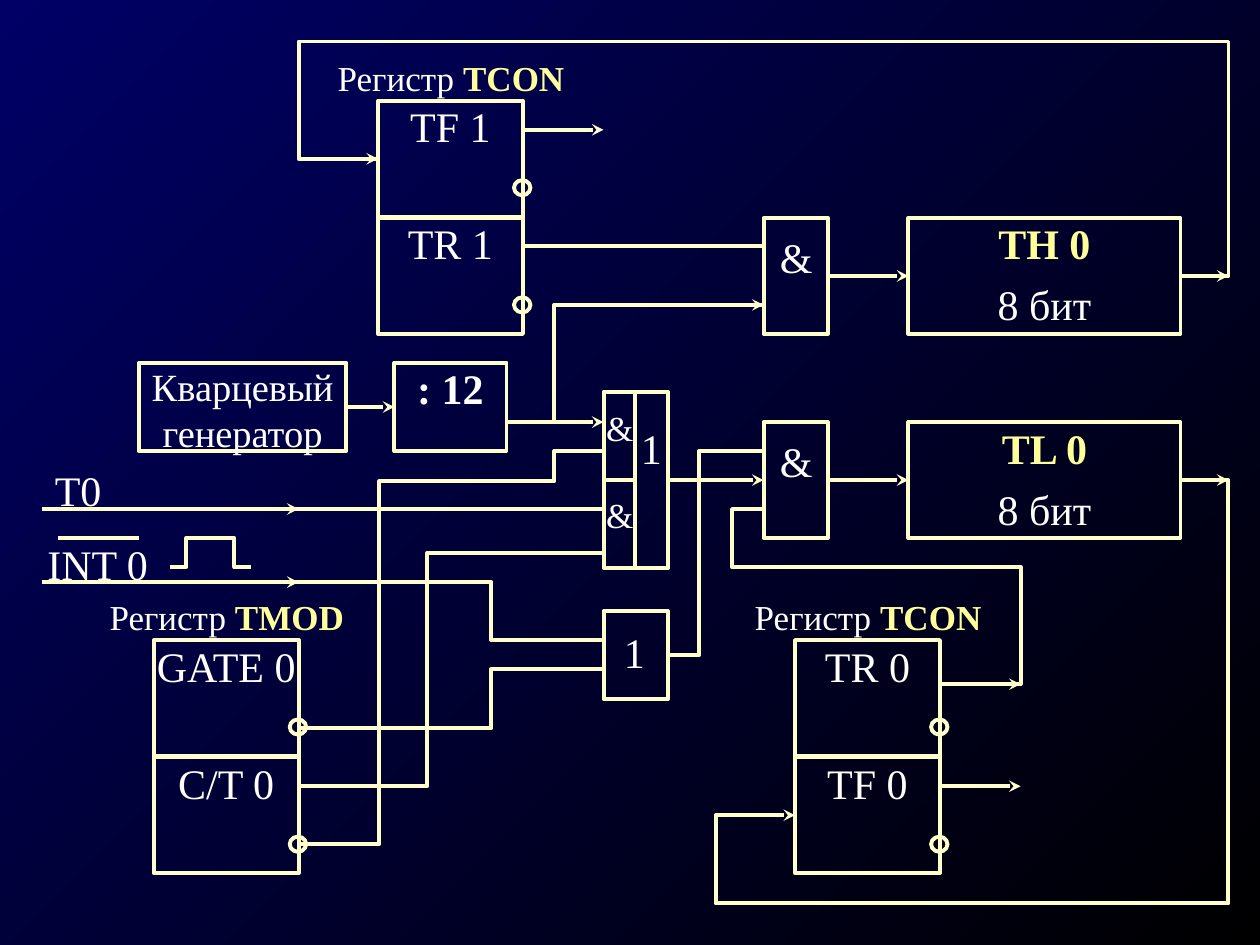
from lxml.etree import SubElement
from pptx import Presentation
from pptx.dml.color import RGBColor
from pptx.enum.shapes import MSO_CONNECTOR as Link, MSO_SHAPE as Form
from pptx.enum.text import MSO_ANCHOR as Anchor, PP_ALIGN as Align
from pptx.oxml.ns import qn
from pptx.util import Inches, Pt

hue = RGBColor.from_string
CREAM, GOLD, WHITE = "FFFFCC", "FFFF99", "FFFFFF"


def style(shape):
    shape.shadow.inherit = False
    shape.fill.background()
    shape.line.color.rgb = hue(CREAM)
    shape.line.width = Pt(2.25)


def write(shape, *lines):
    frame = shape.text_frame
    frame.word_wrap = True
    frame.vertical_anchor = Anchor.TOP
    frame.margin_left = frame.margin_right = 0
    frame.margin_top = frame.margin_bottom = 0
    for i, runs in enumerate(lines):
        para = frame.add_paragraph() if i else frame.paragraphs[0]
        para.alignment = Align.CENTER
        if i:
            para.space_before = Pt(6)
        for text, size, color, bold in runs:
            run = para.add_run()
            run.text = text
            run.font.name = "Times New Roman"
            run.font.size = Pt(size)
            run.font.bold = bold
            run.font.color.rgb = hue(color)


prs = Presentation()
prs.slide_width, prs.slide_height = Inches(10), Inches(7.5)
slide = prs.slides.add_slide(prs.slide_layouts[6])
shapes = slide.shapes

back = slide.background.fill
back.gradient()
back.gradient_angle = 315
for stop, color in zip(back.gradient_stops, ("000066", "000000")):
    stop.color.rgb = hue(color)

blocks = [
    ("clock", 1.1, 2.88, 1.65, 0.7, [[("Кварцевый генератор", 22, WHITE, False)]]),
    ("div", 3.13, 2.88, 0.89, 0.7, [[(": 12", 24, WHITE, True)]]),
    ("mux", 4.79, 3.11, 0.51, 1.4, []),
    ("or", 4.79, 4.85, 0.51, 0.7, []),
]
for n, y in (("H", 1.73), ("L", 3.35)):
    blocks.append((f"and{n}", 6.06, y, 0.51, 0.92, []))
    blocks.append((f"T{n}", 7.21, y, 2.16, 0.92, [
        [(f"T{n} 0", 24, GOLD, True)], [("8 бит", 24, WHITE, False)]]))

tags = [
    (0.33, 4.27, 0.89, [("INT 0", 24, WHITE, False)]),
    (0.33, 3.69, 0.58, [("T0", 24, WHITE, False)]),
    (5.04, 3.35, 0.26, [("1", 24, WHITE, False)]),
    (4.79, 3.23, 0.26, [("&", 20, WHITE, False)]),
    (4.79, 3.92, 0.26, [("&", 20, WHITE, False)]),
    (4.91, 4.97, 0.25, [("1", 24, WHITE, False)]),
    (6.19, 1.84, 0.26, [("&", 24, WHITE, False)]),
    (6.19, 3.46, 0.26, [("&", 24, WHITE, False)]),
]

dots = []
for x, y, name, cells in (
    (3, 0.8, "TCON", ("TF 1", "TR 1")),
    (1.22, 5.08, "TMOD", ("GATE 0", "C/T 0")),
    (6.31, 5.08, "TCON", ("TR 0", "TF 0")),
):
    tags.append((x - 0.5, y - 0.35, 2.16,
                 [("Регистр ", 20, WHITE, False), (name, 20, GOLD, True)]))
    for i, cell in enumerate(cells):
        top = y + 0.93 * i
        blocks.append((cell, x, top, 1.15, 0.92, [[(cell, 24, WHITE, False)]]))
        dots.append((x + 1.08, top + 0.63))

box = {}
for key, x, y, w, h, lines in blocks:
    box[key] = shapes.add_shape(
        Form.RECTANGLE, Inches(x), Inches(y), Inches(w), Inches(h))
    style(box[key])
    write(box[key], *lines)

for x, y in dots:
    dot = shapes.add_shape(
        Form.OVAL, Inches(x), Inches(y), Inches(0.13), Inches(0.12))
    style(dot)

for x, y, w, runs in tags:
    tag = shapes.add_textbox(Inches(x), Inches(y), Inches(w), Inches(0.35))
    write(tag, runs)

paths = [
    [(2.37, 5.78), (3.9, 5.78), (3.9, 5.31), (4.79, 5.31)],
    [(4.79, 3.58), (4.4, 3.58), (4.4, 3.82), (3.01, 3.82), (3.01, 6.7), (2.37, 6.7)],
    [(2.37, 6.24), (3.39, 6.24), (3.39, 4.39), (4.79, 4.39)],
    [(4.79, 5.08), (3.9, 5.08), (3.9, 4.62), (2.24, 4.62)],
    [(1.35, 4.5), (1.48, 4.5), (1.48, 4.27), (1.86, 4.27), (1.86, 4.5), (1.99, 4.5)],
    [(5.3, 5.2), (5.55, 5.2), (5.55, 3.58), (6.06, 3.58)],
    [(7.46, 5.43), (8.1, 5.43), (8.1, 4.5), (5.81, 4.5), (5.81, 4.04), (6.06, 4.04)],
    [(9.37, 3.81), (9.75, 3.81), (9.75, 7.17), (5.68, 7.17), (5.68, 6.47), (6.06, 6.47)],
    [(4.4, 3.35), (4.4, 2.42), (6.06, 2.42)],
    [(9.37, 2.19), (9.75, 2.19), (9.75, 0.33), (2.37, 0.33), (2.37, 1.26), (3, 1.26)],
]
for path in paths:
    first, *rest = [(Inches(x), Inches(y)) for x, y in path]
    pen = shapes.build_freeform(*first)
    pen.add_line_segments(rest, close=False)
    style(pen.convert_to_shape())

wires = [
    (5.04, 3.11, 5.04, 4.51, False, None, None),
    (4.79, 3.81, 5.04, 3.81, False, "mux", None),
    (2.24, 4.04, 4.79, 4.04, False, None, None),
    (0.46, 4.27, 1.1, 4.27, False, None, None),
    (4.15, 1.95, 6.06, 1.95, False, None, None),
    (2.75, 3.23, 3.13, 3.23, True, "clock", "div"),
    (4.02, 3.35, 4.79, 3.35, True, None, None),
    (0.33, 4.04, 2.37, 4.04, True, None, None),
    (0.33, 4.62, 2.37, 4.62, True, None, None),
    (5.3, 3.81, 6.06, 3.81, True, "mux", "andL"),
    (7.46, 5.43, 8.1, 5.43, True, None, None),
    (6.57, 3.81, 7.21, 3.81, True, "andL", "TL"),
    (5.68, 6.47, 6.31, 6.47, True, None, "TF 0"),
    (5.3, 2.42, 6.06, 2.42, True, None, None),
    (6.57, 2.19, 7.21, 2.19, True, "andH", "TH"),
    (2.37, 1.26, 3, 1.26, True, None, "TF 1"),
    (9.37, 3.81, 9.75, 3.81, True, "TL", None),
    (9.37, 2.19, 9.75, 2.19, True, "TH", None),
    (4.15, 1.03, 4.79, 1.03, True, None, None),
    (7.46, 6.24, 8.1, 6.24, True, None, None),
]
for x1, y1, x2, y2, arrow, start, end in wires:
    wire = shapes.add_connector(
        Link.STRAIGHT, Inches(x1), Inches(y1), Inches(x2), Inches(y2))
    wire.line.color.rgb = hue(CREAM)
    wire.line.width = Pt(2.25)
    if arrow:
        SubElement(wire.get_or_add_ln(), qn("a:tailEnd"), type="stealth")
    SubElement(wire._element.spPr, qn("a:effectLst"))
    if start:
        wire.begin_connect(box[start], 3 if x2 - x1 > 0.3 else 1)
    if end:
        wire.end_connect(box[end], 1)

prs.save("out.pptx")
